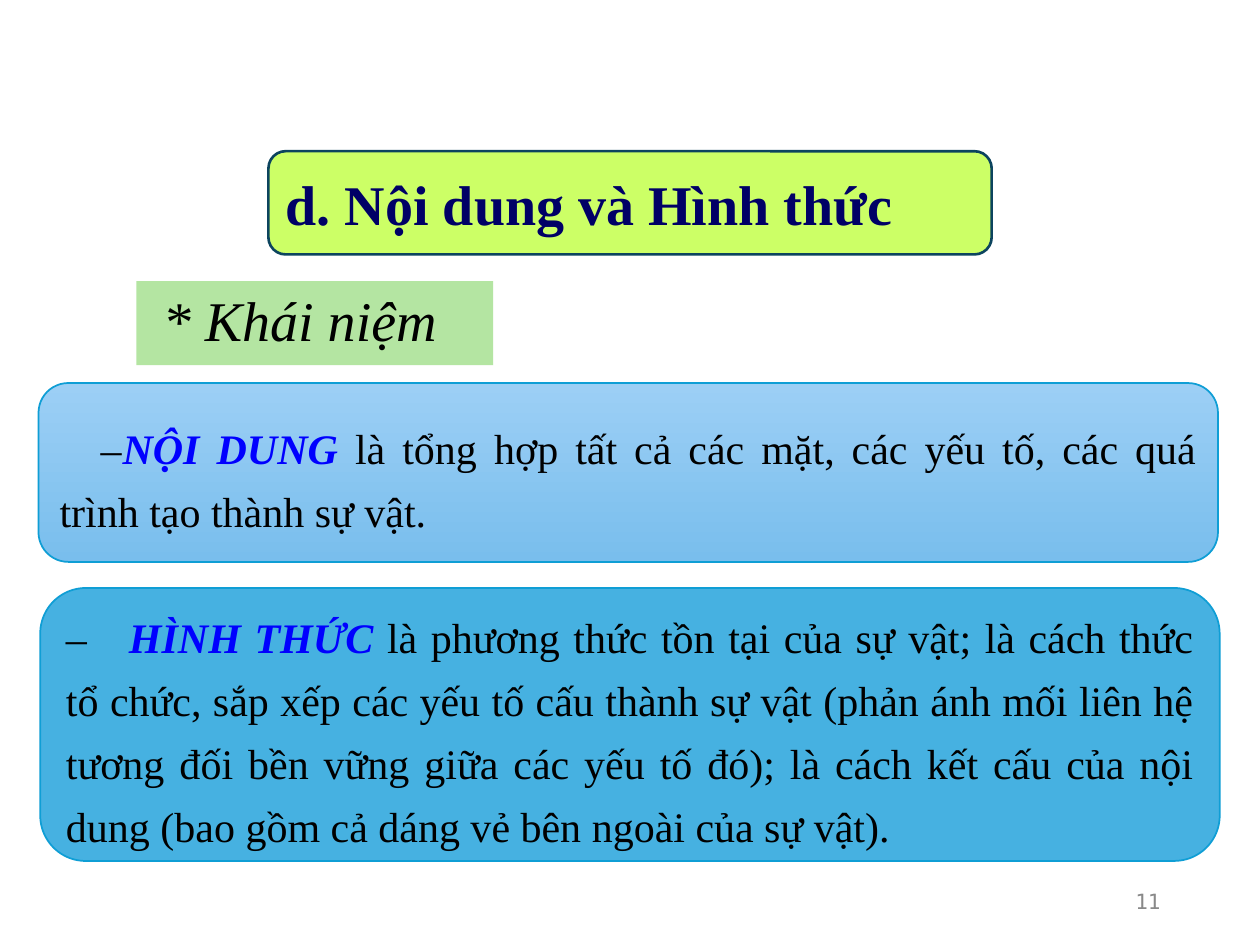
import pptx
import pptx.dml.color
import pptx.enum.shapes
import pptx.enum.text
import pptx.oxml.ns
import pptx.util
from lxml import etree

Pt = pptx.util.Pt
SHAPE = pptx.enum.shapes.MSO_SHAPE
ALIGN = pptx.enum.text.PP_ALIGN
SERIF = "Times New Roman"


def rgb(value):
    return pptx.dml.color.RGBColor.from_string(value)


def add_run(p, text, size=24, color="000000", font=SERIF, bold=False, italic=False):
    r = p.add_run()
    r.text = text
    r.font.size = Pt(size)
    r.font.name = font
    r.font.bold = bold
    r.font.italic = italic
    r.font.color.rgb = rgb(color)


def add_tab(p, pos):
    tabs = etree.SubElement(p._p.get_or_add_pPr(), pptx.oxml.ns.qn("a:tabLst"))
    etree.SubElement(tabs, pptx.oxml.ns.qn("a:tab"), pos=str(Pt(pos)), algn="l")


def add_panel(s, box, kind, fill, line=None, line_width=1):
    sp = s.shapes.add_shape(kind, *map(Pt, box))
    sp.shadow.inherit = False
    if isinstance(fill, tuple):
        sp.fill.gradient()
        sp.fill.gradient_angle = 270
        for i, color in enumerate(fill):
            stop = sp.fill.gradient_stops[i]
            stop.position = i
            stop.color.rgb = rgb(color)
    else:
        sp.fill.solid()
        sp.fill.fore_color.rgb = rgb(fill)
    if line:
        sp.line.color.rgb = rgb(line)
        sp.line.width = Pt(line_width)
    else:
        sp.line.fill.background()
    return sp, first_paragraph(sp)


def first_paragraph(sp, align=ALIGN.LEFT):
    tf = sp.text_frame
    tf.word_wrap = True
    tf.vertical_anchor = pptx.enum.text.MSO_ANCHOR.MIDDLE
    p = tf.paragraphs[0]
    p.alignment = align
    return p


def add_heading(s, box, text):
    sp, p = add_panel(s, box, SHAPE.ROUNDED_RECTANGLE, "CCFF66", "0C445E", 1.5)
    p.space_before = Pt(8)
    add_run(p, text, size=32, color="000066", bold=True)


def add_subheading(s, box, text):
    sp, p = add_panel(s, box, SHAPE.RECTANGLE, "B4E5A2")
    p.line_spacing = 0.9
    add_run(p, text, size=32, italic=True)


def add_definition(s, box, fill, term, meaning, indent, tab):
    sp, p = add_panel(s, box, SHAPE.ROUNDED_RECTANGLE, fill, "0F9ED5")
    p.alignment = ALIGN.JUSTIFY
    p.line_spacing = 1.25
    p._p.get_or_add_pPr().set("indent", str(Pt(indent)))
    add_tab(p, tab)
    add_run(p, "–\t")
    add_run(p, term, color="0000FF", bold=True, italic=True)
    add_run(p, meaning)


def add_page_number(s, box, number):
    sp = s.shapes.add_textbox(*map(Pt, box))
    p = first_paragraph(sp, ALIGN.RIGHT)
    add_run(p, number, size=12, color="898989", font="DejaVu Sans Mono")


def main():
    prs = pptx.Presentation()
    prs.slide_width, prs.slide_height = Pt(720), Pt(540)
    s = prs.slides.add_slide(prs.slide_layouts[6])
    add_heading(s, (153.4, 86.4, 413.3, 59), "d. Nội dung và Hình thức")
    add_subheading(s, (78, 160.6, 203.8, 48), " * Khái niệm")
    add_page_number(s, (508.3, 500.4, 162, 28.8), "11")
    add_definition(
        s, (22, 218.9, 674, 102.2), ("9CCFF5", "79BEED"), "NỘI DUNG",
        " là tổng hợp tất cả các mặt, các yếu tố, các quá trình tạo thành sự vật.",
        indent=23.5, tab=60)
    add_definition(
        s, (23, 336, 674, 156), "46B1E1", "HÌNH THỨC",
        " là phương thức tồn tại của sự vật; là cách thức tổ chức, sắp xếp các yếu tố "
        "cấu thành sự vật (phản ánh mối liên hệ tương đối bền vững giữa các yếu tố đó); "
        "là cách kết cấu của nội dung (bao gồm cả dáng vẻ bên ngoài của sự vật).",
        indent=0, tab=30.5)
    prs.save("out.pptx")


if __name__ == "__main__":
    main()
